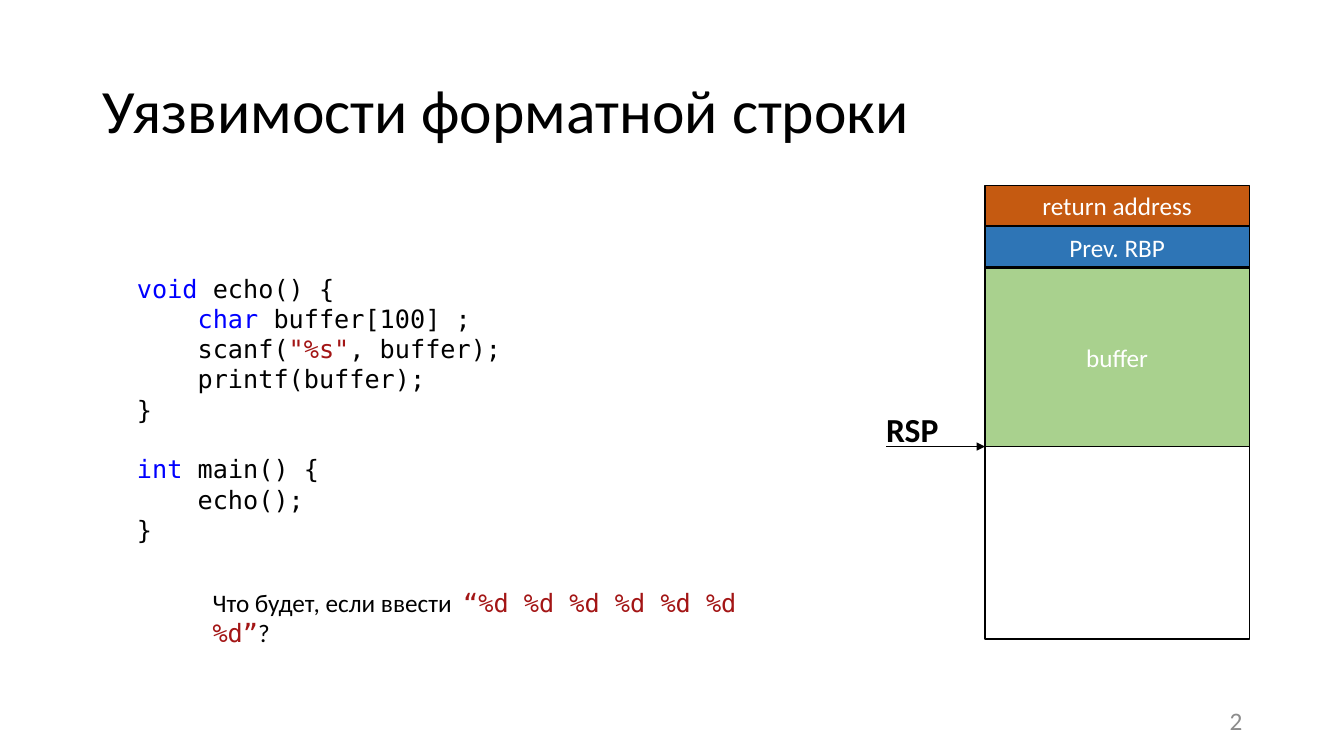
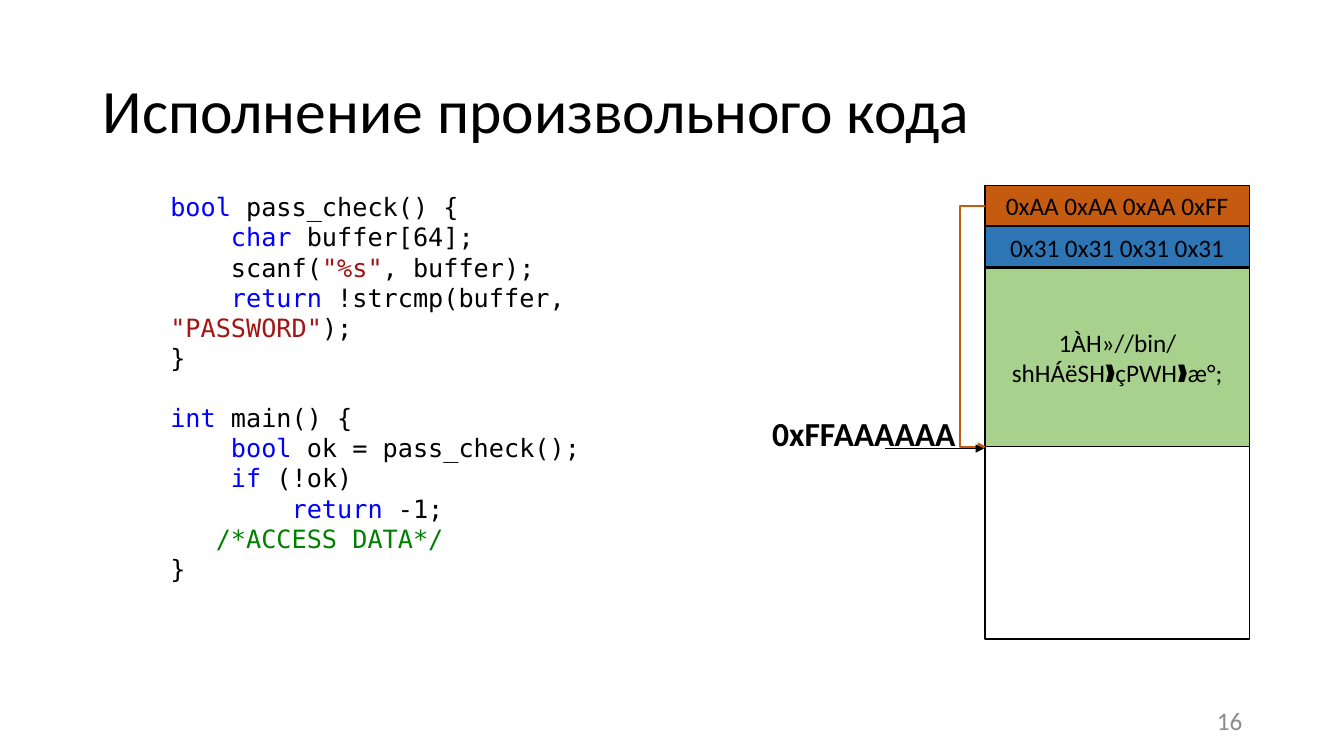
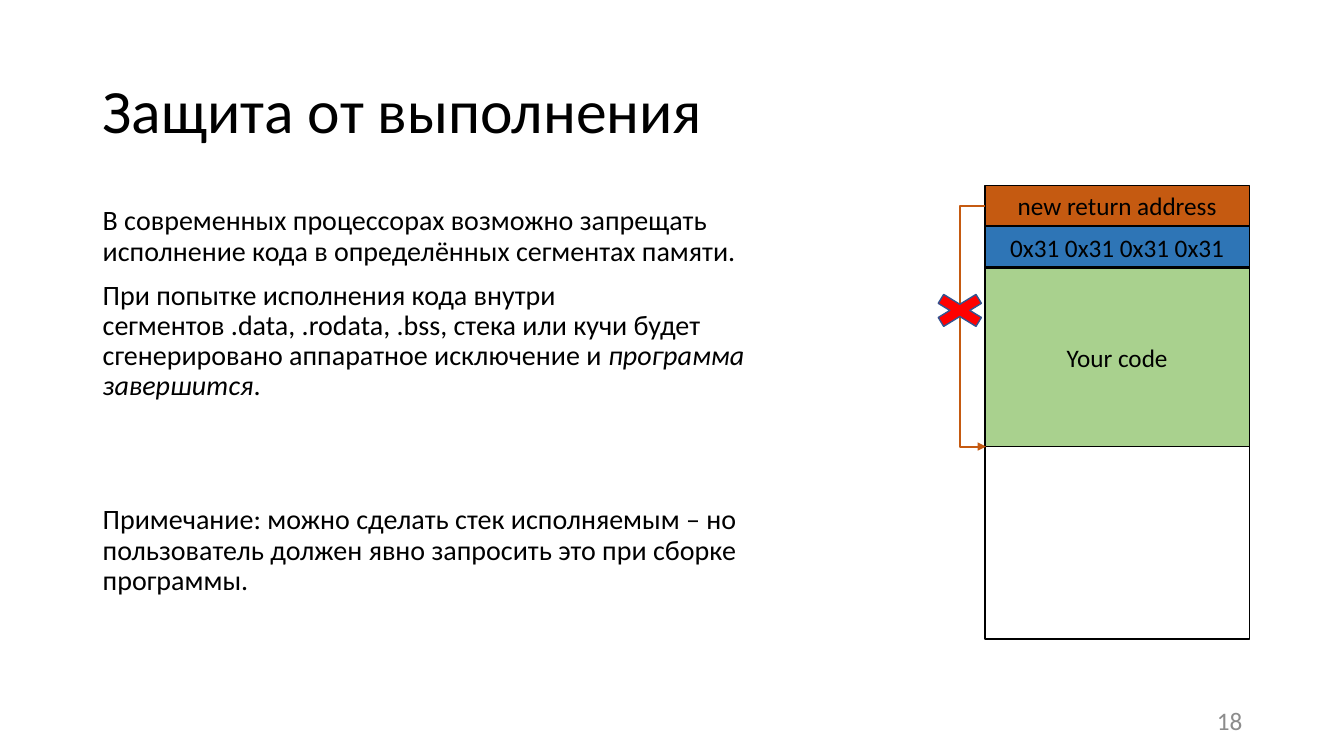
"""Three slides on stack attacks: format strings, arbitrary code and execution protection."""
from lxml.etree import SubElement
from pptx import Presentation
from pptx.dml.color import RGBColor
from pptx.enum.shapes import MSO_CONNECTOR, MSO_SHAPE
from pptx.enum.text import MSO_ANCHOR, PP_ALIGN
from pptx.oxml.ns import qn
from pptx.util import Inches, Pt

SANS, MONO = "Calibri", "DejaVu Sans Mono"
BLACK, WHITE, GREY = "000000", "FFFFFF", "8C8C8C"
KEYWORD, STRING, COMMENT = "0000FF", "A31515", "008000"
ORANGE, BLUE, GREEN = "C55A11", "2E75B6", "A9D18E"
RED, NAVY = "FF0000", "325491"
STACK_LEFT, STACK_WIDTH = 9.77, 2.62
STACK_ROWS = [(1.84, 0.4, ORANGE), (2.25, 0.4, BLUE), (2.66, 1.77, GREEN)]
NO_BREAK, RAW_BYTE = chr(0xA0), chr(0x89)


def rgb(value):
    return RGBColor.from_string(value)


def write(frame, lines, size=18, font=SANS, color=BLACK, bold=False, align=PP_ALIGN.LEFT,
          anchor=MSO_ANCHOR.TOP, spacing=None, gaps=()):
    """Fill a frame with lines of (text, colour, font, italic) spans, shortened where default."""
    frame.word_wrap = True
    frame.vertical_anchor = anchor
    gaps = dict(gaps)
    for index, line in enumerate(lines):
        para = frame.add_paragraph() if index else frame.paragraphs[0]
        para.alignment = align
        para.line_spacing = spacing
        para.space_before = Pt(gaps.get(index, 0))
        para.font.size, para.font.name, para.font.bold = Pt(size), font, bold
        para.font.color.rgb = rgb(color)
        for part in [line] if isinstance(line, str) else line:
            text, tint, face, italic = ((part,) if isinstance(part, str) else part + (None,) * 3 + ())[:4] \
                if not isinstance(part, str) else (part, None, None, None)
            span = para.add_run()
            span.text = text
            if tint:
                span.font.color.rgb = rgb(tint)
            if face:
                span.font.name = face
            if italic:
                span.font.italic = True


deck = Presentation()
deck.slide_width, deck.slide_height = Inches(13.33), Inches(7.5)

echo_code = [
    [("void", KEYWORD), " echo() {"],
    ["    ", ("char", KEYWORD), " buffer[100] ;"],
    ["    scanf(", ("\"%s\"", STRING), ", buffer);"],
    "    printf(buffer);",
    "}",
    [("int", KEYWORD), " main() {"],
    "    echo();",
    "}",
]
check_code = [
    [("bool", KEYWORD), " pass_check() {"],
    [("    char", KEYWORD), " buffer[64];"],
    ["    scanf(", ("\"%s\"", STRING), ", buffer);"],
    [("    return", KEYWORD), " !strcmp(buffer, ", ("\"PASSWORD\"", STRING), ");"],
    "}",
    [("int", KEYWORD), " main() {"],
    [("    bool", KEYWORD), " ok = pass_check();"],
    [("    if", KEYWORD), " (!ok)"],
    [("        return", KEYWORD), " -1;"],
    [("   /*ACCESS DATA*/", COMMENT)],
    "}",
]
question = [["Что будет, если ввести  ", ("“%d %d %d %d %d %d %d”", STRING, MONO), "?"]]
protection = [
    "В современных процессорах возможно запрещать исполнение кода в определённых сегментах памяти.",
    [f"При попытке исполнения кода внутри сегментов{NO_BREAK}.data,{NO_BREAK}.rodata, .bss, стека или кучи "
     "будет сгенерировано аппаратное исключение и ", ("программа завершится", None, None, True), "."],
    "Примечание: можно сделать стек исполняемым – но пользователь должен явно запросить это при сборке программы.",
]
code_style = {"font": MONO, "gaps": {5: 21}}
pointer_style = {"size": 24, "bold": True}
prose_style = {"size": 20, "spacing": 0.9, "gaps": {1: 10, 2: 74}}
pointer_arrow = (MSO_CONNECTOR.STRAIGHT, BLACK, 0.5)
return_arrow = (MSO_CONNECTOR.ELBOW, ORANGE, 1.5, 9.77, 2.04, 9.78, 4.43)

slides = [
    {"title": "Уязвимости форматной строки", "number": "2", "label_color": WHITE,
     "labels": ["return address", "Prev. RBP", "buffer"],
     "texts": [(1.26, 2.66, 5.69, 2.83, echo_code, code_style),
               (8.69, 4.01, 0.9, 0.5, ["RSP"], pointer_style),
               (2.01, 5.78, 5.88, 0.7, question, {})],
     "arrows": [pointer_arrow + (8.79, 4.43, 9.77, 4.43)]},
    {"title": "Исполнение произвольного кода", "number": "16", "label_color": BLACK,
     "labels": ["0xAA 0xAA 0xAA 0xFF", "0x31 0x31 0x31 0x31",
                f"1ÀH»//bin/shHÁëSH{RAW_BYTE}çPWH{RAW_BYTE}æ°;"],
     "texts": [(1.59, 1.85, 5.69, 3.74, check_code, code_style),
               (7.56, 4.05, 2.2, 0.5, ["0xFFAAAAAA"], pointer_style)],
     "arrows": [return_arrow, pointer_arrow + (8.78, 4.45, 9.76, 4.45)]},
    {"title": "Защита от выполнения", "number": "18", "label_color": BLACK,
     "labels": ["new return address", "0x31 0x31 0x31 0x31", "Your code"],
     "texts": [(0.92, 2, 6.91, 4.95, protection, prose_style)],
     "arrows": [return_arrow]},
]

for content in slides:
    page = deck.slides.add_slide(deck.slide_layouts[6])
    title_style = {"size": 44, "spacing": 0.9, "anchor": MSO_ANCHOR.MIDDLE}
    number_style = {"color": GREY, "align": PP_ALIGN.RIGHT, "anchor": MSO_ANCHOR.MIDDLE}
    shared = [(0.92, 0.4, 11.5, 1.45, [content["title"]], title_style),
              (9.42, 6.95, 3, 0.4, [content["number"]], number_style)]
    for left, top, width, height, lines, style in shared + content["texts"]:
        box = page.shapes.add_textbox(Inches(left), Inches(top), Inches(width), Inches(height))
        write(box.text_frame, lines, **style)

    cells = [(1.85, 4.49, None, "")]
    cells += [row + (label,) for row, label in zip(STACK_ROWS, content["labels"])]
    for top, height, fill, label in cells:
        cell = page.shapes.add_shape(MSO_SHAPE.RECTANGLE, Inches(STACK_LEFT), Inches(top),
                                     Inches(STACK_WIDTH), Inches(height))
        cell.shadow.inherit = False
        cell.line.color.rgb = rgb(BLACK)
        cell.line.width = Pt(1)
        if fill:
            cell.fill.solid()
            cell.fill.fore_color.rgb = rgb(fill)
            write(cell.text_frame, [label], color=content["label_color"],
                  align=PP_ALIGN.CENTER, anchor=MSO_ANCHOR.MIDDLE)
        else:
            cell.fill.background()

    for kind, color, weight, *ends in content["arrows"]:
        arrow = page.shapes.add_connector(kind, *[Inches(end) for end in ends])
        arrow.line.color.rgb = rgb(color)
        arrow.line.width = Pt(weight)
        properties = arrow._element.spPr
        SubElement(properties.find(qn("a:ln")), qn("a:tailEnd"), type="triangle")
        SubElement(properties, qn("a:effectLst"))
        if kind == MSO_CONNECTOR.ELBOW:
            adjustments = properties.find(qn("a:prstGeom")).get_or_add_avLst()
            SubElement(adjustments, qn("a:gd"), name="adj1", fmla="val -2500000")

cross = page.shapes.add_shape(MSO_SHAPE.MATH_MULTIPLY, Inches(9.16), Inches(2.86), Inches(0.72), Inches(0.44))
cross.adjustments[0] = 0.235
cross.shadow.inherit = False
cross.fill.solid()
cross.fill.fore_color.rgb = rgb(RED)
cross.line.color.rgb = rgb(NAVY)
cross.line.width = Pt(1)

deck.save("out.pptx")
